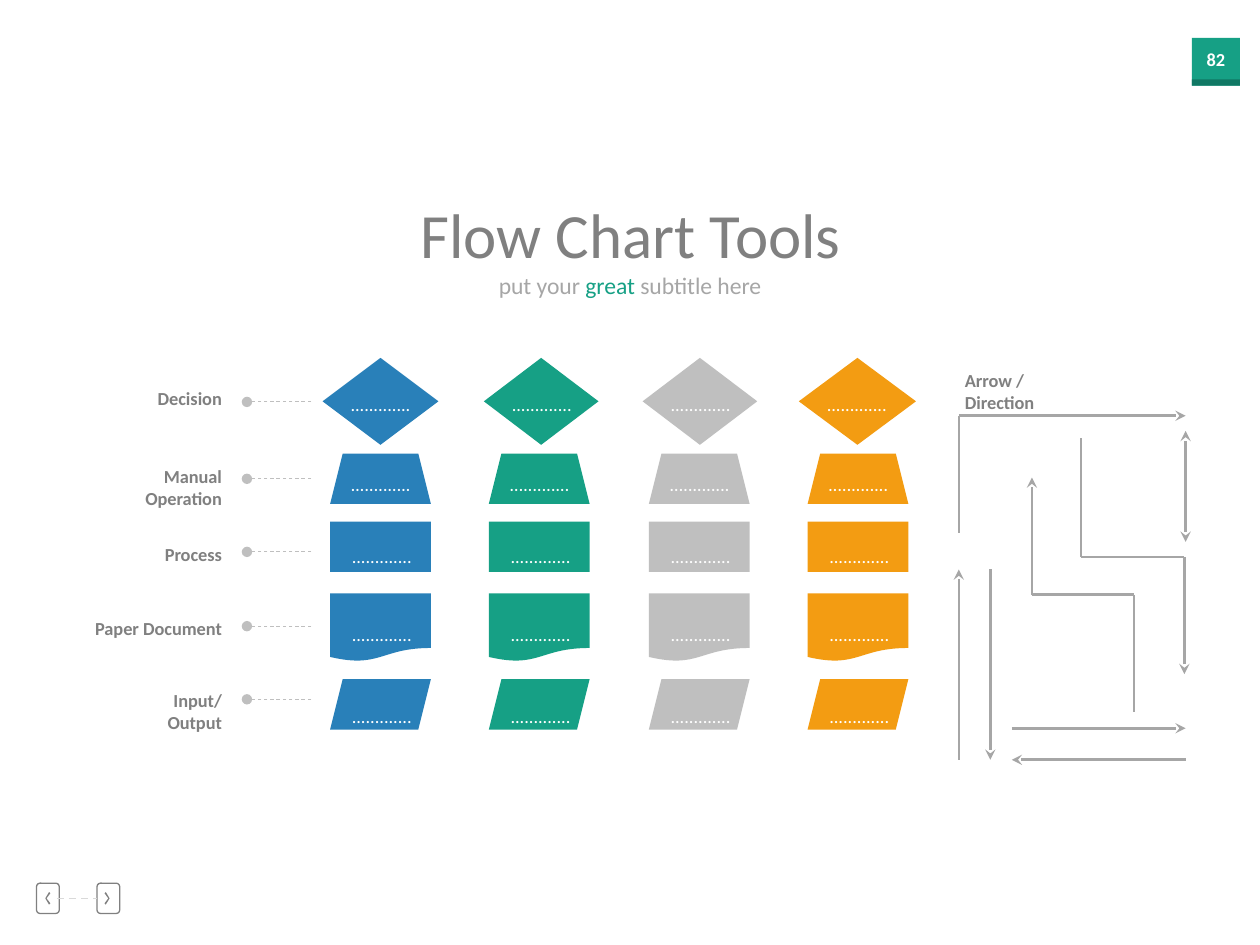
"""Build the Flow Chart Tools slide: symbol grid, row labels and direction arrows."""
from lxml.etree import SubElement
from pptx import Presentation
from pptx.dml.color import RGBColor
from pptx.enum.dml import MSO_LINE
from pptx.enum.shapes import MSO_CONNECTOR, MSO_SHAPE
from pptx.enum.text import PP_ALIGN
from pptx.oxml.ns import qn
from pptx.util import Inches, Pt

BLUE = RGBColor(0x29, 0x80, 0xB9)
GREEN = RGBColor(0x16, 0xA0, 0x85)
DARK_GREEN = RGBColor(0x10, 0x78, 0x64)
ORANGE = RGBColor(0xF3, 0x9C, 0x12)
SILVER = RGBColor(0xBF, 0xBF, 0xBF)
PALE = RGBColor(0xD9, 0xD9, 0xD9)
LIGHT_GREY = RGBColor(0xA6, 0xA6, 0xA6)
GREY = RGBColor(0x80, 0x80, 0x80)
WHITE = RGBColor(0xFF, 0xFF, 0xFF)

TITLE = [("Flow Chart Tools", GREY)]
SUBTITLE = [("put your ", LIGHT_GREY), ("great", GREEN), (" subtitle here", LIGHT_GREY)]
PAGE_NUMBER = [("82", WHITE)]
ARROW_LABEL = [("Arrow / Direction", GREY)]
DOTS = [(".............", WHITE)]

# Column: colour, symbol left, diamond left, diamond width
COLUMNS = [
    (BLUE, 2.62, 2.56, 0.92),
    (GREEN, 3.88, 3.84, 0.91),
    (SILVER, 5.15, 5.1, 0.91),
    (ORANGE, 6.41, 6.34, 0.93),
]
# Row: symbol, top, height, dots offset, dots top, dots rotation, label, label width, label top, leader height
ROWS = [
    (MSO_SHAPE.DIAMOND, 2.84, 0.69, 0.12, 3.07, 0, "Decision", 0.73, 3.02, 3.19),
    (MSO_SHAPE.TRAPEZOID, 3.6, 0.4, 0.06, 3.8, 180, "Manual Operation", 1.28, 3.64, 3.8),
    (MSO_SHAPE.RECTANGLE, 4.14, 0.4, 0.07, 4.28, 0, "Process", 0.69, 4.26, 4.38),
    (MSO_SHAPE.FLOWCHART_DOCUMENT, 4.71, 0.54, 0.07, 4.9, 0, "Paper Document", 1.24, 4.85, 4.97),
    (MSO_SHAPE.PARALLELOGRAM, 5.39, 0.4, 0.07, 5.55, 0, "Input/Output", 1.0, 5.42, 5.55),
]
LABEL_RIGHT = 1.86
LEADER = (2.47, 1.96)
# Arrow: start, end, ends that carry an arrowhead
ARROWS = [
    ((7.61, 4.23), (7.61, 3.3), ()),
    ((7.61, 3.3), (9.41, 3.3), ("tailEnd",)),
    ((8.58, 4.42), (8.58, 3.48), ()),
    ((8.58, 4.42), (9.4, 4.42), ()),
    ((9.4, 5.35), (9.4, 4.42), ("headEnd",)),
    ((7.61, 4.52), (7.61, 6.03), ("headEnd",)),
    ((8.03, 6.03), (9.41, 6.03), ("headEnd",)),
    ((8.03, 5.78), (9.41, 5.78), ("tailEnd",)),
    ((7.86, 4.52), (7.86, 6.03), ("tailEnd",)),
    ((8.19, 4.72), (8.19, 3.79), ("tailEnd",)),
    ((8.19, 4.72), (9, 4.72), ()),
    ((9, 5.65), (9, 4.72), ()),
    ((9.41, 4.3), (9.41, 3.42), ("headEnd", "tailEnd")),
]
CHEVRON = [(0.4, 7.09), (0.37, 7.13), (0.4, 7.17), (0.39, 7.18), (0.36, 7.13), (0.39, 7.08)]
NAVIGATION_SPAN = 1.23


def paint(shape, colour):
    shape.shadow.inherit = False
    shape.fill.solid()
    shape.fill.fore_color.rgb = colour
    shape.line.fill.background()


def add_symbol(slide, kind, left, top, width, height, colour):
    shape = slide.shapes.add_shape(kind, Inches(left), Inches(top), Inches(width), Inches(height))
    paint(shape, colour)
    return shape


def add_text(slide, runs, left, top, width, height, size=10.5, align=PP_ALIGN.CENTER,
             bold=False, wrap=True, rotation=0):
    box = slide.shapes.add_textbox(Inches(left), Inches(top), Inches(width), Inches(height))
    box.rotation = rotation
    box.text_frame.word_wrap = wrap
    paragraph = box.text_frame.paragraphs[0]
    paragraph.alignment = align
    for text, colour in runs:
        run = paragraph.add_run()
        run.text = text
        run.font.color.rgb = colour
        for name, value in {"name": "Calibri", "size": Pt(size), "bold": bold}.items():
            setattr(run.font, name, value)


def add_line(slide, start, end, colour, width, dash=None, ends=(), head="stealth"):
    connector = slide.shapes.add_connector(
        MSO_CONNECTOR.STRAIGHT, *[Inches(value) for value in (*start, *end)])
    connector.line.color.rgb = colour
    for name, value in {"width": Pt(width), "dash_style": dash}.items():
        setattr(connector.line, name, value)
    properties = connector.line._get_or_add_ln()
    for name in ends:
        SubElement(properties, qn(f"a:{name}"), type=head)
    SubElement(connector._element.spPr, qn("a:effectLst"))


def add_page_badge(slide):
    add_symbol(slide, MSO_SHAPE.RECTANGLE, 9.46, 0.3, 0.38, 0.38, GREEN)
    add_symbol(slide, MSO_SHAPE.RECTANGLE, 9.46, 0.63, 0.38, 0.05, DARK_GREEN)
    add_text(slide, PAGE_NUMBER, 9.46, 0.33, 0.38, 0.28, bold=True, wrap=False)


def add_navigation(slide):
    for left, mirrored in ((0.29, False), (0.77, True)):
        points = [(Inches(NAVIGATION_SPAN - x if mirrored else x), Inches(y)) for x, y in CHEVRON]
        builder = slide.shapes.build_freeform(*points[0])
        builder.add_line_segments(points[1:])
        paint(builder.convert_to_shape(), GREY)
        button = add_symbol(slide, MSO_SHAPE.ROUNDED_RECTANGLE, left, 7.01, 0.18, 0.24, WHITE)
        button.adjustments[0] = 0.15
        button.fill.background()
        button.line.color.rgb = GREY
        button.line.width = Pt(0.75)
    add_line(slide, (0.45, 7.13), (0.77, 7.13), PALE, 1, MSO_LINE.DASH)


def add_symbol_grid(slide):
    for kind, top, height, offset, dots_top, rotation, label, width, label_top, leader in ROWS:
        for colour, left, diamond_left, diamond_width in COLUMNS:
            is_diamond = kind == MSO_SHAPE.DIAMOND
            symbol_left, symbol_width = (diamond_left, diamond_width) if is_diamond else (left, 0.8)
            add_symbol(slide, kind, symbol_left, top, symbol_width, height, colour)
            add_text(slide, DOTS, symbol_left + offset, dots_top, 0.68, 0.28,
                     wrap=False, rotation=rotation)
        add_line(slide, (LEADER[0], leader), (LEADER[1], leader), SILVER, 0.5,
                 MSO_LINE.DASH, ("tailEnd",), "oval")
        add_text(slide, [(label, GREY)], LABEL_RIGHT - width, label_top, width, 0.28,
                 align=PP_ALIGN.RIGHT, bold=True)


def main():
    presentation = Presentation()
    presentation.slide_width, presentation.slide_height = Inches(10), Inches(7.5)
    slide = presentation.slides.add_slide(presentation.slide_layouts[6])
    add_page_badge(slide)
    add_navigation(slide)
    add_text(slide, SUBTITLE, 3.86, 2.1, 2.28, 0.33, size=13.5)
    add_text(slide, TITLE, 3.19, 1.5, 3.63, 0.71, size=36)
    add_symbol_grid(slide)
    for start, end, ends in ARROWS:
        add_line(slide, start, end, LIGHT_GREY, 1.5, ends=ends)
    add_text(slide, ARROW_LABEL, 7.56, 2.88, 1.21, 0.28, align=PP_ALIGN.LEFT, bold=True)
    presentation.save("out.pptx")


if __name__ == "__main__":
    main()
